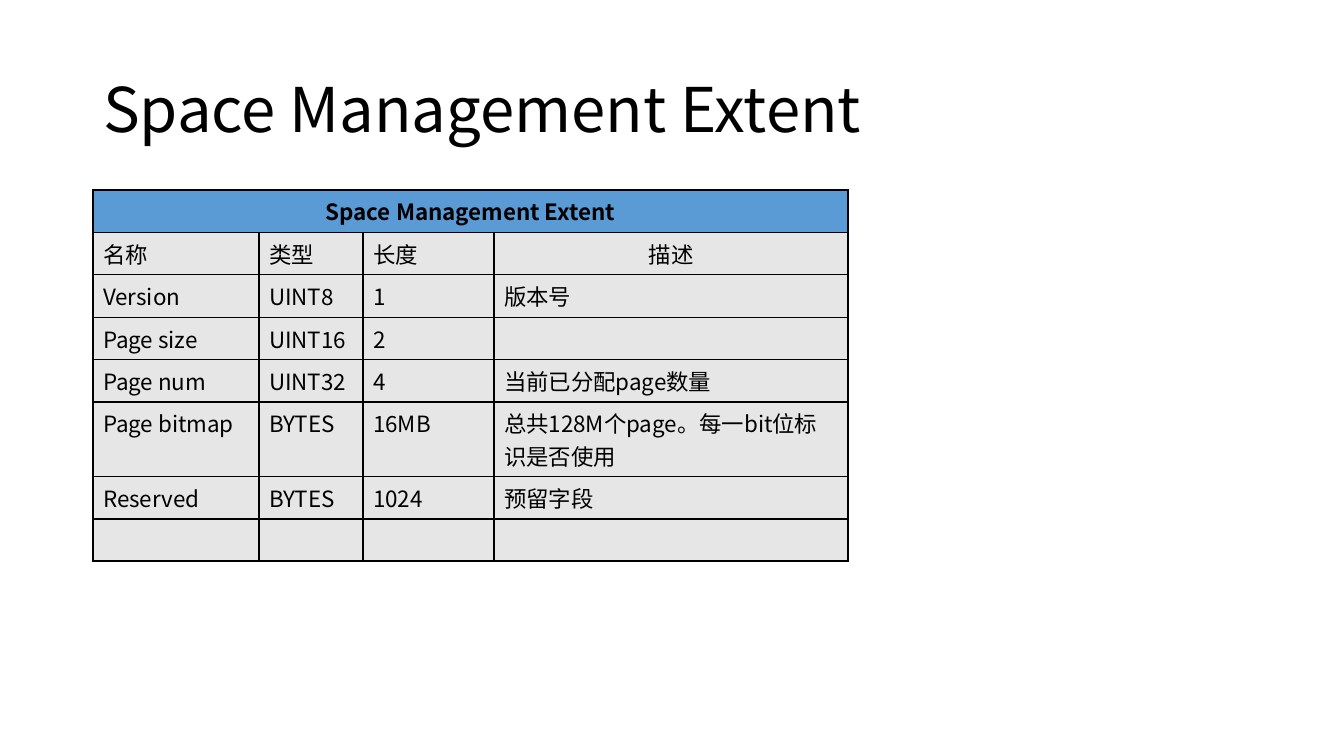
"""Build the Space Management Extent slide."""
from pptx import Presentation
from pptx import util as u
from pptx.dml.color import RGBColor
from pptx.enum import text
from pptx.oxml import parse_xml
from pptx.oxml.ns import nsdecls, qn
from lxml import etree

TITLE = "Space Management Extent"
ROWS = [
    (TITLE, "", "", ""),
    ("名称", "类型", "长度", "描述"),
    ("Version", "UINT8", "1", "版本号"),
    ("Page size", "UINT16", "2", ""),
    ("Page num", "UINT32", "4", "当前已分配page数量"),
    ("Page bitmap", "BYTES", "16MB", "总共128M个page。每一bit位标识是否使用"),
    ("Reserved", "BYTES", "1024", "预留字段"),
    ("", "", "", ""),
]
WIDTHS = [166, 104, 131, 354]
HEIGHTS = [42, 42, 42, 42, 42, 74, 42, 42]
CENTRED = {(0, 0), (1, 3)}
LEFT = 93
FONT = "Noto Sans CJK SC"
BLACK = RGBColor(0x00, 0x00, 0x00)
WHITE = RGBColor(0xFF, 0xFF, 0xFF)
BLUE = RGBColor(0x5B, 0x9B, 0xD5)
GREY = RGBColor(0xE7, 0xE6, 0xE6)


def px(n):
    return u.Emu(round(n * 914400 / 100.8))


def write(para, words, size, bold, align):
    para.alignment = align
    if not words:
        end = etree.SubElement(para._p, qn("a:endParaRPr"))
        end.set("sz", str(size * 100))
        return
    run = para.add_run()
    run.text = words
    for key, val in {"size": u.Pt(size), "bold": bold, "name": FONT}.items():
        setattr(run.font, key, val)
    run.font.color.rgb = BLACK
    face = etree.SubElement(run._r.get_or_add_rPr(), qn("a:ea"))
    face.set("typeface", FONT)


def border(cell):
    props = cell._tc.get_or_add_tcPr()
    for i, side in enumerate(("lnL", "lnR", "lnT", "lnB")):
        props.insert(i, parse_xml(
            f'<a:{side} {nsdecls("a")} w="12700"><a:solidFill>'
            f'<a:srgbClr val="{BLACK}"/></a:solidFill></a:{side}>'))


def main():
    deck = Presentation()
    deck.slide_width, deck.slide_height = u.Inches(13.33), u.Inches(7.5)
    slide = deck.slides.add_slide(deck.slide_layouts[5])
    slide.background.fill.solid()
    slide.background.fill.fore_color.rgb = WHITE

    title = slide.shapes.title
    place = {"left": LEFT, "top": 40, "width": 1159, "height": 146}
    for key, val in place.items():
        setattr(title, key, px(val))
    title.text_frame.vertical_anchor = text.MSO_ANCHOR.MIDDLE
    head = title.text_frame.paragraphs[0]
    write(head, TITLE, 44, False, text.PP_ALIGN.LEFT)
    head.line_spacing = 0.9

    frame = slide.shapes.add_table(len(ROWS), len(WIDTHS), px(LEFT), px(190),
                                   px(sum(WIDTHS)), px(sum(HEIGHTS)))
    table = frame.table
    for col, width in zip(table.columns, WIDTHS):
        col.width = px(width)
    for row, height in zip(table.rows, HEIGHTS):
        row.height = px(height)
    table.cell(0, 0).merge(table.cell(0, len(WIDTHS) - 1))
    for r, row in enumerate(ROWS):
        for c, words in enumerate(row):
            cell = table.cell(r, c)
            cell.fill.solid()
            cell.fill.fore_color.rgb = GREY if r else BLUE
            border(cell)
            align = "CENTER" if (r, c) in CENTRED else "LEFT"
            write(cell.text_frame.paragraphs[0], words, 16, r == 0,
                  text.PP_ALIGN[align])
    deck.save("out.pptx")


if __name__ == "__main__":
    main()
